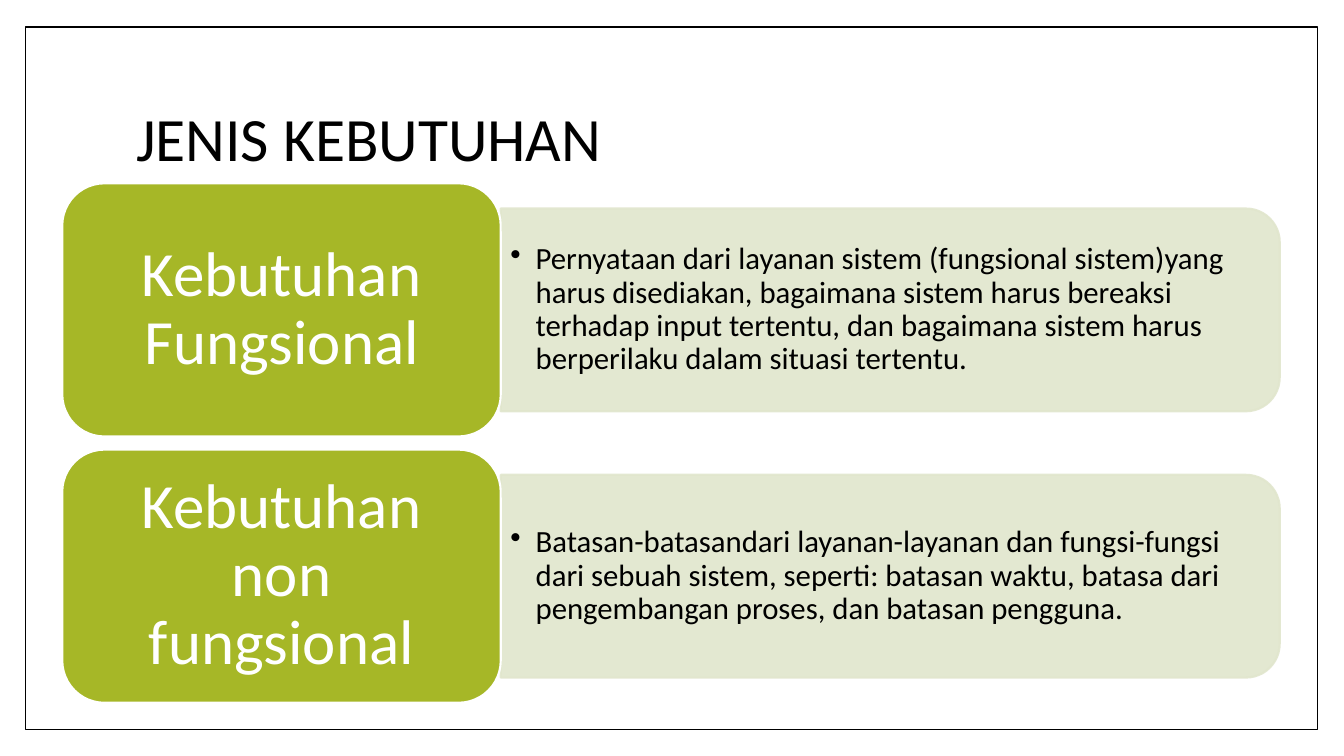
from pptx import Presentation
from pptx.dml.color import RGBColor
from pptx.enum import shapes, text
from pptx.oxml import xmlchemy
from pptx.oxml.ns import qn
from pptx.util import Cm, Pt
from lxml import etree

TITLE = "JENIS KEBUTUHAN"
NEEDS = [
    ("Kebutuhan Fungsional",
     "Pernyataan dari layanan sistem (fungsional sistem)yang harus disediakan, "
     "bagaimana sistem harus bereaksi terhadap input tertentu, dan bagaimana "
     "sistem harus berperilaku dalam situasi tertentu."),
    ("Kebutuhan non fungsional",
     "Batasan-batasandari layanan-layanan dan fungsi-fungsi dari sebuah sistem, "
     "seperti: batasan waktu, batasa dari pengembangan proses, dan batasan pengguna."),
]

THEME = {
    "font": "Calibri",
    "ink": "000000", "paper": "FFFFFF", "label": "A6B727", "panel": "E1E6CD",
    "title_size": 44, "label_size": 45, "detail_size": 22,
    "frame_line": 1, "block_line": 1.5, "panel_alpha": 90,
}

# Lengths in centimetres
SLIDE_W, SLIDE_H = 33.87, 19.05
LABEL_LEFT, LABEL_TOP, LABEL_W, LABEL_H = 1.57, 4.62, 11.05, 6.38
ROW_PITCH = 6.71
PANEL_W, PANEL_H = 19.63, 5.11
DETAIL_W, DETAIL_H = 19.38, 4.6
BULLET_INDENT = 0.64


def color(role):
    return RGBColor.from_string(THEME[role])


def add_block(slide, kind, box, fill, line, width):
    block = slide.shapes.add_shape(kind, *map(Cm, box))
    block.shadow.inherit = False
    block.fill.solid()
    block.fill.fore_color.rgb = color(fill)
    block.line.color.rgb = color(line)
    block.line.width = Pt(width)
    return block


def write(shape, words, size, ink, align, margins):
    """Set one vertically centred paragraph; margins are (side, top and bottom)."""
    side, edge = map(Cm, margins)
    frame = shape.text_frame
    settings = {"word_wrap": True, "vertical_anchor": text.MSO_ANCHOR.MIDDLE,
                "margin_left": side, "margin_right": side,
                "margin_top": edge, "margin_bottom": edge}
    for name, value in settings.items():
        setattr(frame, name, value)
    paragraph = frame.paragraphs[0]
    paragraph.alignment = align
    paragraph.line_spacing = 0.9
    run = paragraph.add_run()
    run.text = words
    run.font.name = THEME["font"]
    run.font.size = Pt(THEME[size])
    run.font.color.rgb = color(ink)
    return paragraph


def add_bullet(paragraph):
    props = paragraph._p.get_or_add_pPr()
    props.set("marL", str(Cm(BULLET_INDENT)))
    props.set("indent", str(-Cm(BULLET_INDENT)))
    etree.SubElement(props, qn("a:buChar"), char="•")


def make_translucent(shape):
    """Apply the panel opacity to both fill and outline."""
    for tint in shape._element.spPr.iter(qn("a:srgbClr")):
        etree.SubElement(tint, qn("a:alpha"), val=str(THEME["panel_alpha"] * 1000))


def add_need(slide, row, label, detail):
    top = LABEL_TOP + row * ROW_PITCH
    middle = top + LABEL_H / 2
    seam = LABEL_LEFT + LABEL_W

    # Upright box that covers the panel area after a quarter turn
    upright = (seam + (PANEL_W - PANEL_H) / 2, middle - PANEL_W / 2, PANEL_H, PANEL_W)
    panel = add_block(slide, shapes.MSO_SHAPE.ROUND_2_SAME_RECTANGLE, upright,
                      "panel", "panel", THEME["block_line"])
    panel.rotation = 90
    make_translucent(panel)

    detail_box = slide.shapes.add_textbox(
        *map(Cm, (seam, middle - DETAIL_H / 2, DETAIL_W, DETAIL_H)))
    add_bullet(write(detail_box, detail, "detail_size", "ink",
                     text.PP_ALIGN.LEFT, (0.24, 0.12)))

    label_block = add_block(slide, shapes.MSO_SHAPE.ROUNDED_RECTANGLE,
                            (LABEL_LEFT, top, LABEL_W, LABEL_H),
                            "label", "paper", THEME["block_line"])
    write(label_block, label, "label_size", "paper", text.PP_ALIGN.CENTER, (0.48, 0.24))


def main():
    deck = Presentation()
    deck.slide_width, deck.slide_height = Cm(SLIDE_W), Cm(SLIDE_H)
    slide = deck.slides.add_slide(deck.slide_layouts[6])
    add_block(slide, shapes.MSO_SHAPE.RECTANGLE, (0.64, 0.68, 32.56, 17.7),
              "paper", "ink", THEME["frame_line"])
    heading = slide.shapes.add_textbox(*map(Cm, (3.18, 1.7, 27.43, 3.76)))
    write(heading, TITLE, "title_size", "ink", text.PP_ALIGN.LEFT, (0.25, 0.13))
    for row, (label, detail) in enumerate(NEEDS):
        add_need(slide, row, label, detail)
    deck.save("out.pptx")


if __name__ == "__main__":
    main()
